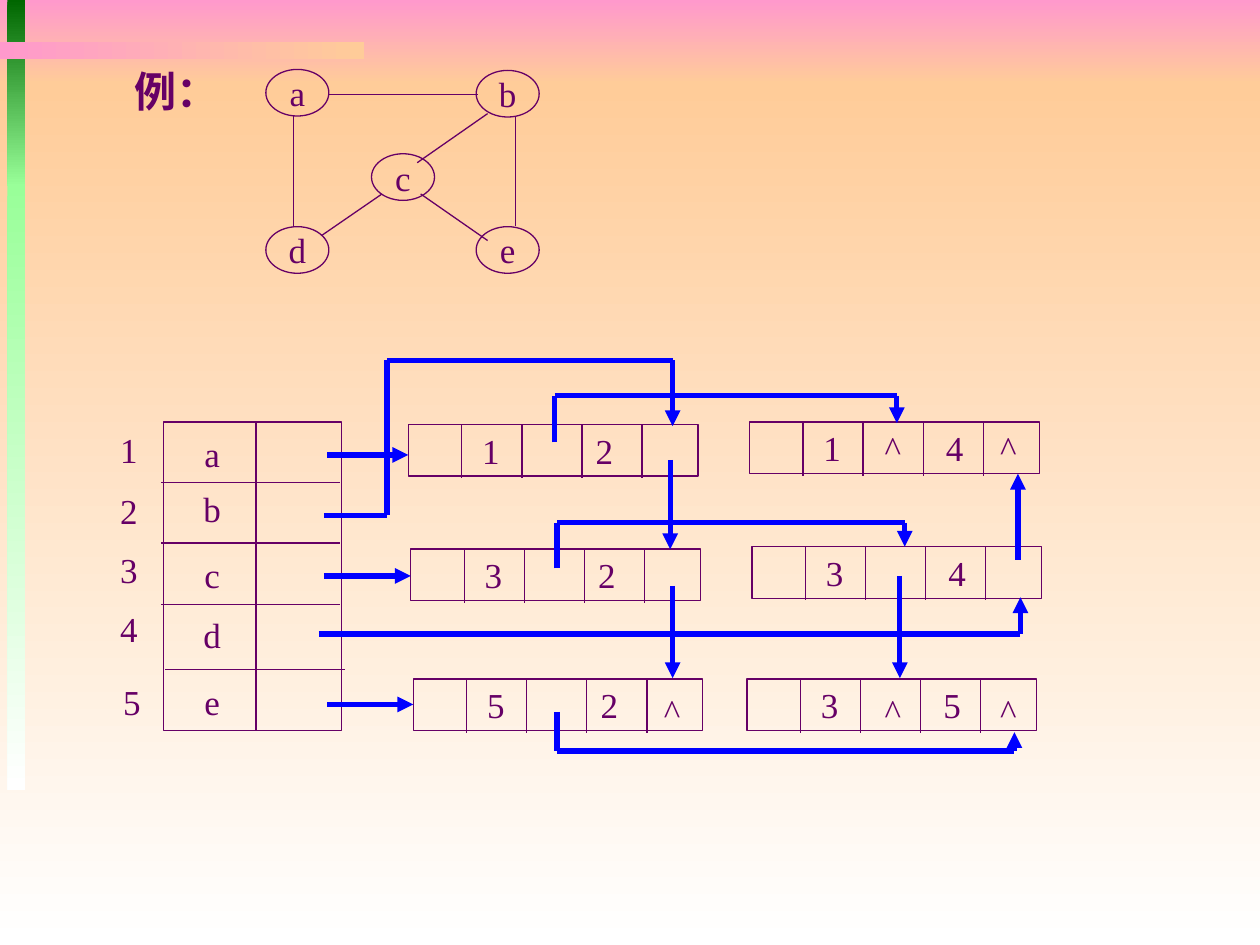
from lxml import etree
from pptx import Presentation
from pptx.dml.color import RGBColor
from pptx.enum.shapes import MSO_CONNECTOR, MSO_SHAPE
from pptx.enum.text import MSO_ANCHOR, MSO_AUTO_SIZE, PP_ALIGN
from pptx.oxml.ns import qn
from pptx.util import Cm, Pt

RECTANGLE = MSO_SHAPE.RECTANGLE
OVAL = MSO_SHAPE.OVAL
STRAIGHT = MSO_CONNECTOR.STRAIGHT
MIDDLE = MSO_ANCHOR.MIDDLE
NO_AUTO_SIZE = MSO_AUTO_SIZE.NONE
LEFT = PP_ALIGN.LEFT
CENTER = PP_ALIGN.CENTER

PURPLE = RGBColor(0x66, 0x00, 0x66)
BLUE = RGBColor(0x00, 0x00, 0xFF)
PINK = RGBColor(0xFF, 0x99, 0xCC)
PEACH = RGBColor(0xFF, 0xCC, 0x99)
DARK_GREEN = RGBColor(0x00, 0x66, 0x00)
LIGHT_GREEN = RGBColor(0x99, 0xFF, 0x99)
WHITE = RGBColor(0xFF, 0xFF, 0xFF)

FONT = "Times New Roman"
DOWNWARD = 270
RIGHTWARD = 0

BACKDROP = [
    ((0, 0, 25.4, 1.7), PINK, PEACH, DOWNWARD),
    ((0, 1.7, 25.4, 17.35), PEACH, WHITE, DOWNWARD),
    ((0.15, 0, 0.36, 3.76), DARK_GREEN, LIGHT_GREEN, DOWNWARD),
    ((0.15, 3.71, 0.36, 12.22), LIGHT_GREEN, WHITE, DOWNWARD),
    ((0, 0.84, 7.34, 0.36), PINK, PEACH, RIGHTWARD),
]

GRAPH_VERTICES = [("a", 5.36, 1.4), ("b", 9.6, 1.42), ("c", 7.49, 3.1),
                  ("d", 5.36, 4.57), ("e", 9.6, 4.57)]
GRAPH_EDGES = [
    ((6.63, 1.9), (9.63, 1.9)),
    ((5.92, 2.34), (5.92, 4.55)),
    ((10.39, 2.34), (10.39, 4.55)),
    ((8.48, 3.91), (9.83, 4.85)),
    ((9.83, 2.29), (8.41, 3.28)),
    ((7.7, 3.91), (6.48, 4.75)),
]

VERTEX_TABLE_LINES = [
    ((3.25, 9.73), (6.86, 9.73)),
    ((3.25, 10.95), (6.86, 10.95)),
    ((3.25, 12.19), (6.86, 12.19)),
    ((3.33, 13.49), (6.96, 13.49)),
    ((5.16, 8.51), (5.16, 14.73)),
]
VERTEX_TABLE_LABELS = [
    ("1", 2.18, 8.51), ("2", 2.18, 9.73), ("3", 2.18, 10.92),
    ("4", 2.18, 12.12), ("5", 2.24, 13.59),
    ("a", 3.86, 8.59), ("b", 3.86, 9.7), ("c", 3.86, 11.02),
    ("d", 3.86, 12.24), ("e", 3.86, 13.59),
]

LEFT_TABS = (1.24, 3.53)
RIGHT_TABS = (1.24, 3.71)
EDGE_RECORDS = [
    (8.23, 8.56, "1", "2", LEFT_TABS),
    (15.11, 8.51, "1", "4", RIGHT_TABS),
    (15.16, 11.02, "3", "4", RIGHT_TABS),
    (8.28, 11.07, "3", "2", LEFT_TABS),
    (15.06, 13.69, "3", "5", RIGHT_TABS),
    (8.33, 13.69, "5", "2", LEFT_TABS),
]
END_MARKS = [("^", 17.58, 8.46), ("^", 17.58, 13.77), ("^", 19.91, 8.46),
             ("^", 19.91, 13.77), ("^", 13.13, 13.77)]

POINTER_ROUTES = [
    [(6.6, 9.17), (8.23, 9.17)],
    [(6.53, 11.61), (8.28, 11.61)],
    [(6.6, 14.2), (8.33, 14.2)],
    [(11.18, 8.92), (11.18, 7.98), (18.08, 7.98), (18.08, 8.53)],
    [(6.53, 10.39), (7.8, 10.39), (7.8, 7.26), (13.56, 7.26), (13.56, 8.59)],
    [(13.51, 9.27), (13.51, 11.07)],
    [(13.56, 11.81), (13.56, 13.67)],
    [(11.23, 11.46), (11.23, 10.54), (18.24, 10.54), (18.24, 11.02)],
    [(18.14, 11.61), (18.14, 13.67)],
    [(6.43, 12.78), (20.57, 12.78), (20.57, 12.04)],
    [(20.52, 11.28), (20.52, 9.55)],
    [(11.23, 14.35), (11.23, 15.14), (20.45, 15.14), (20.45, 14.76)],
]


def write_text(shape, text, size=20, bold=False, alignment=CENTER, tabs=()):
    frame = shape.text_frame
    frame.auto_size = NO_AUTO_SIZE
    frame.word_wrap = bool(tabs)
    frame.vertical_anchor = MIDDLE
    paragraph = frame.paragraphs[0]
    paragraph.alignment = alignment
    if tabs:
        properties = paragraph._p.get_or_add_pPr()
        tab_list = etree.SubElement(properties, qn("a:tabLst"))
        for position in tabs:
            etree.SubElement(tab_list, qn("a:tab"), pos=str(Cm(position)), algn="l")
    run = paragraph.add_run()
    run.text = text
    run.font.name = FONT
    run.font.size = Pt(size)
    run.font.bold = bold
    run.font.color.rgb = PURPLE


def add_gradient_band(slide, box, start, end, angle):
    band = slide.shapes.add_shape(RECTANGLE, *map(Cm, box))
    band.shadow.inherit = False
    band.line.fill.background()
    band.fill.gradient()
    band.fill.gradient_angle = angle
    for stop, color in zip(band.fill.gradient_stops, (start, end)):
        stop.color.rgb = color


def add_outline(slide, preset, *box):
    shape = slide.shapes.add_shape(preset, *map(Cm, box))
    shape.shadow.inherit = False
    shape.fill.background()
    shape.line.color.rgb = PURPLE
    shape.line.width = Pt(0.75)
    return shape


def add_line(slide, start, end, color=PURPLE, width=0.75, arrow=False):
    line = slide.shapes.add_connector(STRAIGHT, *map(Cm, (*start, *end)))
    line.line.color.rgb = color
    line.line.width = Pt(width)
    properties = line.element.spPr
    if arrow:
        etree.SubElement(properties.find(qn("a:ln")), qn("a:tailEnd"), type="triangle")
    etree.SubElement(properties, qn("a:effectLst"))


def add_label(slide, text, left, top):
    box = slide.shapes.add_textbox(Cm(left), Cm(top), Cm(0.84), Cm(1.12))
    write_text(box, text)


def add_edge_record(slide, left, top, first, second, tabs):
    record = add_outline(slide, RECTANGLE, left, top, 5.84, 1.04)
    write_text(record, f"\t{first}\t{second}", alignment=LEFT, tabs=tabs)
    for index in range(4):
        x = left + 1.08 + 1.21 * index
        add_line(slide, (x, top), (x, top + 1.08))


def add_pointer(slide, route):
    last = len(route) - 2
    for index, (start, end) in enumerate(zip(route, route[1:])):
        add_line(slide, start, end, BLUE, 3, arrow=index == last)


def place_title(slide, text):
    title = slide.shapes.title
    title.element.getparent().append(title.element)
    title.left, title.top, title.width, title.height = map(Cm, (2.16, 1.19, 2.79, 1.27))
    write_text(title, text, size=24, bold=True)


def main():
    presentation = Presentation()
    presentation.slide_width = Cm(25.4)
    presentation.slide_height = Cm(19.05)
    slide = presentation.slides.add_slide(presentation.slide_layouts[5])

    for band in BACKDROP:
        add_gradient_band(slide, *band)
    place_title(slide, "例：")

    for name, left, top in GRAPH_VERTICES:
        write_text(add_outline(slide, OVAL, left, top, 1.27, 0.94), name)
    add_outline(slide, RECTANGLE, 3.3, 8.51, 3.58, 6.22)
    for start, end in GRAPH_EDGES + VERTEX_TABLE_LINES:
        add_line(slide, start, end)
    for record in EDGE_RECORDS:
        add_edge_record(slide, *record)
    for route in POINTER_ROUTES:
        add_pointer(slide, route)
    for label in VERTEX_TABLE_LABELS + END_MARKS:
        add_label(slide, *label)

    presentation.save("out.pptx")


if __name__ == "__main__":
    main()
